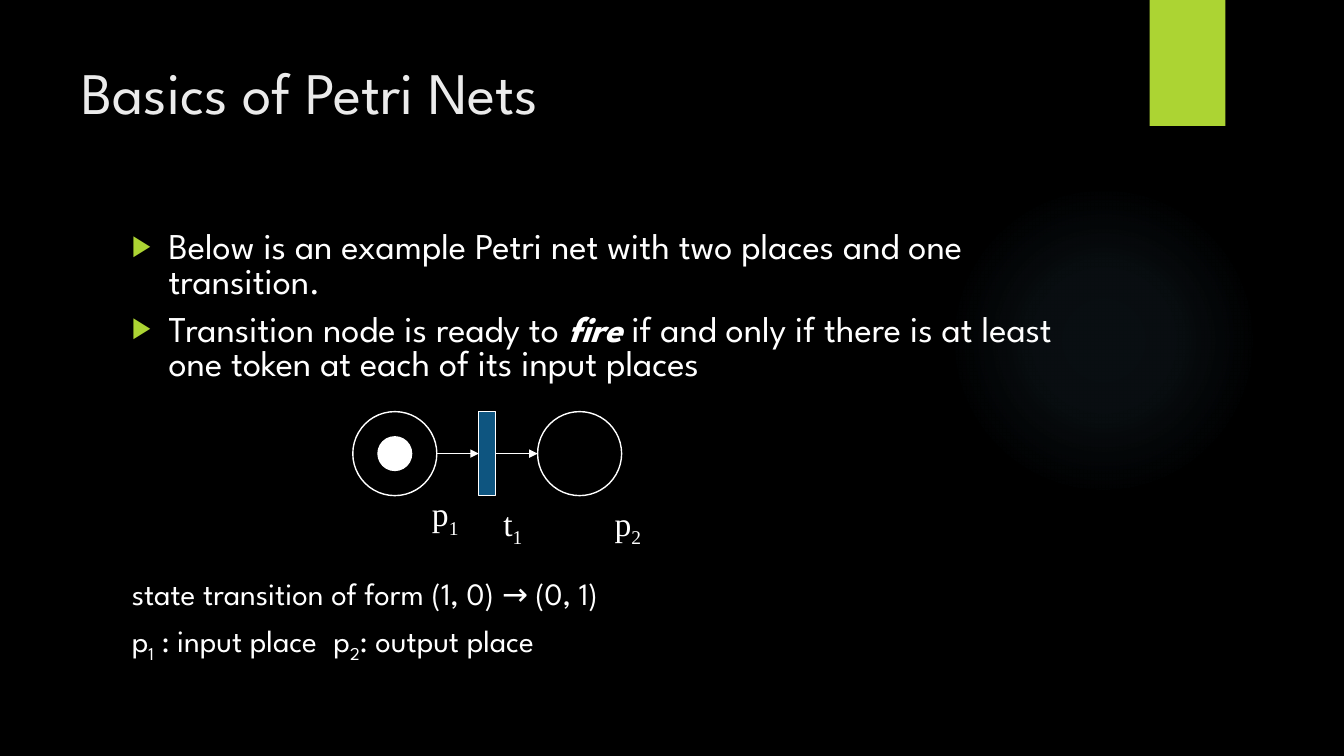
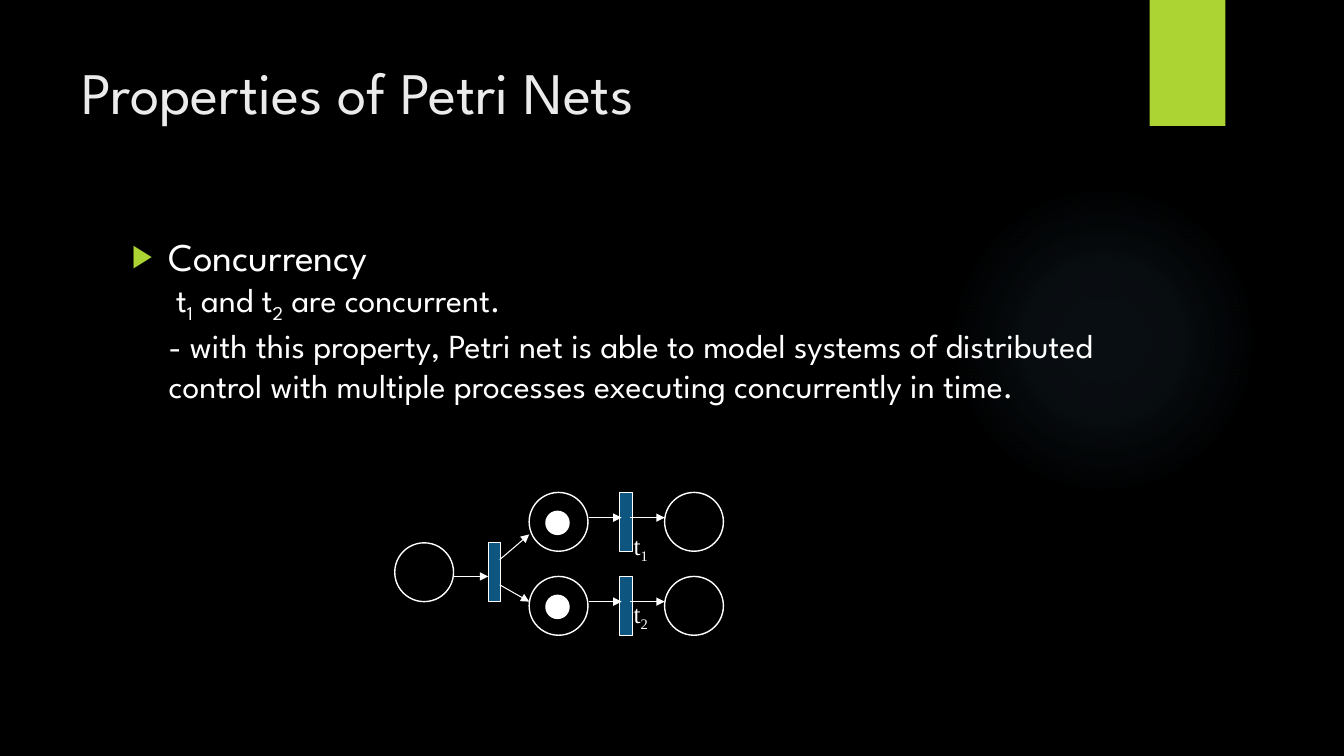
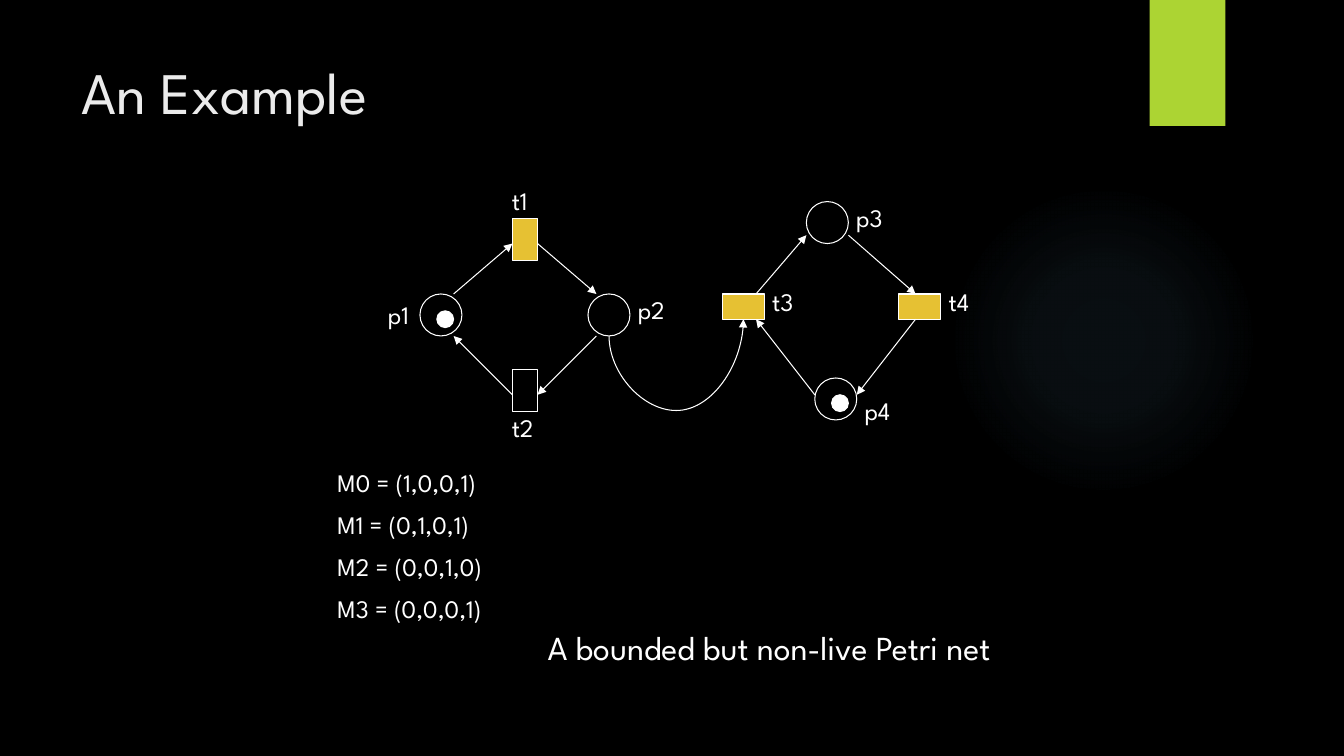
from lxml import etree
from pptx import Presentation
from pptx.dml.color import RGBColor
from pptx.enum.shapes import MSO_CONNECTOR, MSO_SHAPE
from pptx.enum.text import MSO_ANCHOR, MSO_AUTO_SIZE, PP_ALIGN
from pptx.oxml import parse_xml
from pptx.oxml.ns import qn
from pptx.util import Pt

OVAL, RECT = MSO_SHAPE.OVAL, MSO_SHAPE.RECTANGLE
LINE, CURVE = MSO_CONNECTOR.STRAIGHT, MSO_CONNECTOR.CURVE
TOP, LEFT, NONE = MSO_ANCHOR.TOP, PP_ALIGN.LEFT, MSO_AUTO_SIZE.NONE
PX = 9525  # 96 px to the inch
SANS, SERIF = "League Spartan", "Times New Roman"
NS = "http://schemas.openxmlformats.org/drawingml/2006/main"
COLORS = {
    "back": "000000", "text": "FFFFFF", "title": "EBEBEB", "band": "ACD433",
    "glow": "7AC4F0", "blue": "0E5580", "gold": "E6C133",
}
HUE = {name: RGBColor.from_string(code) for name, code in COLORS.items()}


def text(frame, runs, size=18, color="text", font=SANS, before=0, left=0,
         bullet=False, spacing=None, tab=None):
    """Add one paragraph; runs are a string or (string, style) pairs."""
    para = frame.add_paragraph() if frame.text else frame.paragraphs[0]
    props = para._p.get_or_add_pPr()
    props.set("marL", str(left * PX))
    props.set("indent", str(-left * PX if bullet else 0))
    if bullet:
        tint = etree.SubElement(props, qn("a:buClr"))
        etree.SubElement(tint, qn("a:srgbClr"), val=COLORS["band"])
        etree.SubElement(props, qn("a:buSzPct"), val="80000")
        etree.SubElement(props, qn("a:buChar"), char="▶")
    else:
        etree.SubElement(props, qn("a:buNone"))
    if tab:
        stops = etree.SubElement(props, qn("a:tabLst"))
        etree.SubElement(stops, qn("a:tab"), pos=str(tab * PX), algn="l")
    para.alignment = LEFT
    para.space_before = Pt(before)
    if spacing:
        para.line_spacing = spacing
    for part, style in [(runs, "")] if isinstance(runs, str) else runs:
        run = para.add_run()
        run.text = part
        run.font.size, run.font.name = Pt(size), font
        run.font.color.rgb = HUE[color]
        if style == "strong":
            run.font.bold = run.font.italic = True
        elif style == "sub":
            run.font._element.set("baseline", "-25000")


def shape(slide, kind, box, fill=None, line=None):
    """Add a preset shape; box is left, top, width, height in px."""
    item = slide.shapes.add_shape(kind, *[v * PX for v in box])
    item.shadow.inherit = False
    if fill:
        item.fill.solid()
        item.fill.fore_color.rgb = HUE[fill]
    else:
        item.fill.background()
    if line:
        item.line.color.rgb = HUE["text"]
        item.line.width = Pt(line)
    else:
        item.line.fill.background()
    return item


prs = Presentation()
prs.slide_width, prs.slide_height = 1280 * PX, 720 * PX
master = prs.slide_master
master.background.fill.solid()
master.background.fill.fore_color.rgb = HUE["back"]

# Slides with their titles
slides = []
for title, layout in [("Basics of Petri Nets", 1),
                      ("Properties of Petri Nets", 1), ("An Example", 5)]:
    slide = prs.slides.add_slide(prs.slide_layouts[layout])
    for holder, box in zip(slide.placeholders,
                           [(68, 48, 939, 147), (116, 216, 939, 441)]):
        holder.left, holder.top, holder.width, holder.height = [
            v * PX for v in box]
        holder.text_frame.vertical_anchor = TOP
        holder.text_frame.auto_size = NONE
    text(slide.shapes.title.text_frame, title, size=42, color="title")
    slides.append(slide)
basics, props, sample = slides

# Glow and band, kept on the master
glow = shape(basics, OVAL, (903, 176, 296, 296))
band = shape(basics, RECT, (1095, 0, 72, 120), fill="band")
stops = "".join(
    f'<a:gs pos="{at}000"><a:srgbClr val="{COLORS["glow"]}">'
    f'<a:alpha val="{alpha}000"/></a:srgbClr></a:gs>'
    for at, alpha in [(0, 7), (36, 6), (69, 0)])
shade = parse_xml(
    f'<a:gradFill xmlns:a="{NS}"><a:gsLst>{stops}</a:gsLst><a:path path="circle">'
    '<a:fillToRect l="50000" t="50000" r="50000" b="50000"/></a:path></a:gradFill>')
empty = glow._element.spPr.find(qn("a:noFill"))
empty.getparent().replace(empty, shade)
for place, item in enumerate([glow, band]):
    master.shapes._spTree.insert(2 + place, item._element)

# Basics: body text
body = basics.placeholders[1].text_frame
item = dict(size=25.9, left=35, bullet=True, spacing=0.8)
text(body, "Below is an example Petri net with two places and one transition.",
     **item)
text(body, [("Transition node is ready to ", ""), ("fire", "strong"),
            (" if and only if there is at least one token at each of its "
             "input places", "")], before=9, **item)
text(body, "state transition of form (1, 0) → (0, 1)", size=22.2,
     before=141, spacing=0.8)
text(body, [("p", ""), ("1", "sub"), (" : input place\tp", ""), ("2", "sub"),
            (": output place", "")], size=22.2, before=10, spacing=0.8, tab=228)

# Basics: net
for x in (336, 512):
    shape(basics, OVAL, (x, 392, 80, 80), line=1)
shape(basics, OVAL, (360, 416, 32, 32), fill="text", line=1)
gate = shape(basics, RECT, (456, 392, 16, 80), fill="blue", line=0.75)

# Properties: body text
body = props.placeholders[1].text_frame
text(body, "Concurrency", size=28, left=35, bullet=True)
text(body, [("t", ""), ("1", "sub"), (" and t", ""), ("2", "sub"),
            (" are concurrent.", "")], size=24, left=42)
text(body, "- with this property, Petri net is able to model systems of "
     "distributed control with multiple processes executing concurrently "
     "in time.", size=24, left=35)

# Properties: net with two equal branches
shape(props, OVAL, (376, 517, 56, 56), line=1)
shape(props, RECT, (465, 517, 12, 56), fill="blue", line=0.75)
forks = [(432, 549, 465, 549), (476, 533, 504, 509), (476, 557, 504, 573)]
for y in (469, 549):
    for x in (504, 633):
        shape(props, OVAL, (x, y, 56, 56), line=1)
    shape(props, OVAL, (520, y + 18, 22, 22), fill="text", line=1)
    shape(props, RECT, (590, y, 12, 56), fill="blue", line=0.75)
    forks += [(561, y + 24, 592, y + 24), (600, y + 24, 633, y + 24)]

# Example: places, tokens and transitions
for x, y in [(400, 280), (560, 280), (768, 192), (776, 360)]:
    shape(sample, OVAL, (x, y, 40, 40), line=0.75)
for x, y in [(416, 296), (792, 376)]:
    shape(sample, OVAL, (x, y, 16, 16), fill="text", line=0.75)
for box, fill in [((488, 208, 24, 40), "gold"), ((488, 352, 24, 40), None),
                  ((856, 280, 40, 24), "gold"), ((688, 280, 40, 24), "gold")]:
    last = shape(sample, RECT, box, fill=fill, line=0.75)

# Arrows: slide, kind, ends, then the joined shape with its begin or end side
arrows = [(basics, LINE, (416, 432, 456, 432), None, (gate, 1)),
          (basics, LINE, (472, 432, 512, 432), (gate, 3), None),
          (sample, CURVE, (580, 320, 708, 304), None, (last, 2))]
arrows += [(props, LINE, ends, None, None) for ends in forks]
arrows += [(sample, LINE, ends, None, None) for ends in [
    (432, 280, 488, 232), (512, 232, 568, 280),
    (568, 320, 512, 376), (488, 376, 432, 320),
    (720, 280, 768, 224), (808, 224, 872, 280),
    (872, 304, 816, 376), (776, 376, 720, 304)]]
for slide, kind, ends, begin, end in arrows:
    arrow = slide.shapes.add_connector(kind, *[v * PX for v in ends])
    if begin:
        arrow.begin_connect(*begin)
    if end:
        arrow.end_connect(*end)
    arrow.line.color.rgb = HUE["text"]
    arrow.line.width = Pt(0.75)
    etree.SubElement(arrow.line._get_or_add_ln(), qn("a:tailEnd"),
                     type="triangle")
    frame = arrow._element.spPr
    etree.SubElement(frame, qn("a:effectLst"))
    if kind == CURVE:  # a quarter turn lets the curve hang below both ends
        arrow.left, arrow.top, arrow.width, arrow.height = [
            v * PX for v in (636, 248, 16, 128)]
        turn = frame.find(qn("a:xfrm"))
        for key, value in [("rot", "5400000"), ("flipH", "1"), ("flipV", "1")]:
            turn.set(key, value)
        guides = frame.find(qn("a:prstGeom")).find(qn("a:avLst"))
        etree.SubElement(guides, qn("a:gd"), name="adj1", fmla="val -444300")

# Labels: slide, text, left, top, width, size, font
labels = [(slide, [(name[0], ""), (name[1], "sub")], x, y, 70, size, SERIF)
          for slide, name, x, y, size in [
              (basics, "p1", 402, 465, 24), (basics, "t1", 470, 474, 24),
              (basics, "p2", 576, 474, 24),
              (props, "t1", 594, 500, 18), (props, "t2", 594, 565, 18)]]
labels += [(sample, name, x, y, 70, 18, SANS) for name, x, y in [
    ("p1", 360, 280), ("p2", 598, 276), ("p3", 806, 188), ("p4", 814, 372),
    ("t1", 478, 172), ("t2", 478, 388), ("t3", 726, 268), ("t4", 894, 268)]]
labels += [(sample, f"M{row} = ({mark})", 312, 440 + 40 * row, 200, 18, SANS)
           for row, mark in enumerate(["1,0,0,1", "0,1,0,1", "0,0,1,0",
                                       "0,0,0,1"])]
labels.append((sample, "A bounded but non-live Petri net", 512, 592, 560, 24,
               SANS))
for slide, runs, x, y, width, size, font in labels:
    box = slide.shapes.add_textbox(x * PX, y * PX, width * PX, 2 * size * PX)
    box.text_frame.word_wrap = True
    text(box.text_frame, runs, size=size, font=font)

prs.save("out.pptx")
